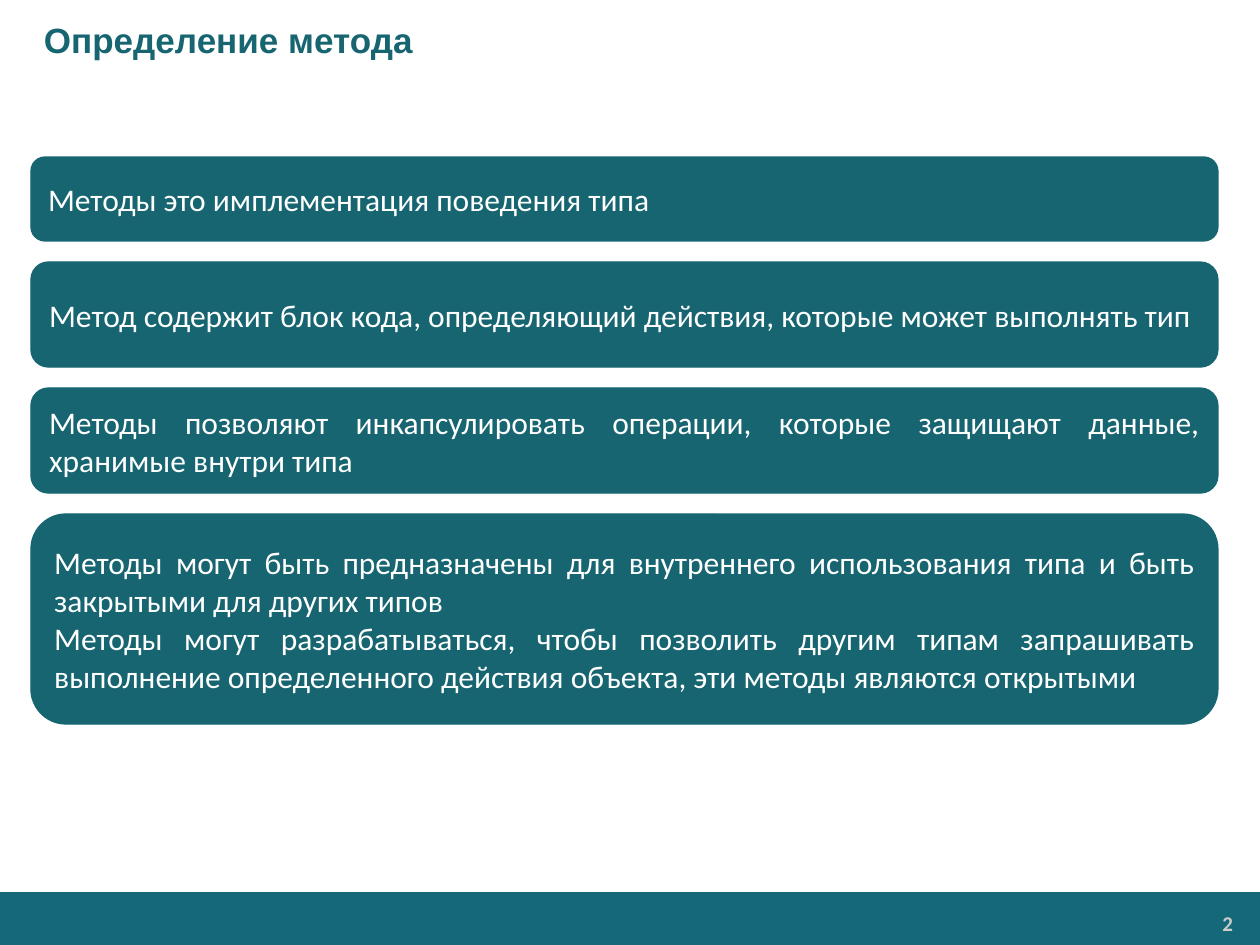
from pptx import Presentation
from pptx.dml.color import RGBColor
from pptx.enum.shapes import MSO_SHAPE
from pptx.enum.text import MSO_ANCHOR, PP_ALIGN
from pptx.util import Pt

EMU_PER_PX = 914400 / 126
RECT, ROUNDED = MSO_SHAPE.RECTANGLE, MSO_SHAPE.ROUNDED_RECTANGLE
TOP, MIDDLE = MSO_ANCHOR.TOP, MSO_ANCHOR.MIDDLE
LEFT, RIGHT, JUSTIFY = PP_ALIGN.LEFT, PP_ALIGN.RIGHT, PP_ALIGN.JUSTIFY

COLORS = {
    "teal": "176571",
    "footer": "146878",
    "white": "FFFFFF",
    "number": "CCCCCC",
}

CARD_LEFT, CARD_TOP, CARD_WIDTH, CARD_GAP = 31, 157, 1187, 21
CARDS = [
    (84, ["Методы это имплементация поведения типа"]),
    (105, ["Метод содержит блок кода, определяющий действия, которые может выполнять тип"]),
    (105, ["Методы позволяют инкапсулировать операции, которые защищают данные, "
           "хранимые внутри типа"]),
    (210, ["Методы могут быть предназначены для внутреннего использования типа "
           "и быть закрытыми для других типов",
           "Методы могут разрабатываться, чтобы позволить другим типам запрашивать "
           "выполнение определенного действия объекта, эти методы являются открытыми"]),
]


def px(n):
    return round(n * EMU_PER_PX)


def rgb(name):
    return RGBColor.from_string(COLORS[name])


class SlideBuilder:
    def __init__(self, slide):
        self.shapes = slide.shapes

    def set_text(self, sp, lines, size, color, font="Calibri", bold=False,
                 align=LEFT, anchor=MIDDLE, insets=(13, 6, 13, 6)):
        """Fill a shape with one paragraph per line; insets run left, top, right, bottom."""
        tf = sp.text_frame
        tf.word_wrap = True
        tf.vertical_anchor = anchor
        tf.margin_left, tf.margin_top, tf.margin_right, tf.margin_bottom = map(px, insets)
        tf.text = "\n".join(lines)
        for p in tf.paragraphs:
            p.alignment = align
            p.font.name = font
            p.font.size = Pt(size)
            p.font.bold = bold
            p.font.color.rgb = rgb(color)

    def box(self, kind, box, fill, line=None):
        sp = self.shapes.add_shape(kind, *map(px, box))
        sp.shadow.inherit = False
        sp.fill.solid()
        sp.fill.fore_color.rgb = rgb(fill)
        if line:
            sp.line.color.rgb = rgb(line)
            sp.line.width = Pt(0.75)
        else:
            sp.line.fill.background()
        return sp

    def card(self, box, lines):
        sp = self.box(ROUNDED, box, "teal", line="teal")
        self.set_text(sp, lines, 18, "white", align=JUSTIFY)

    def label(self, box, text, size, color, **style):
        sp = self.shapes.add_textbox(*map(px, box))
        self.set_text(sp, [text], size, color, bold=True, **style)


def main():
    prs = Presentation()
    prs.slide_width, prs.slide_height = px(1260), px(945)
    s = SlideBuilder(prs.slides.add_slide(prs.slide_layouts[6]))

    s.box(RECT, (0, 892, 1261, 54), "footer")
    s.label((1037, 906, 205, 35), "2", 12, "number",
            align=RIGHT, anchor=TOP, insets=(9, 5, 9, 5))

    top = CARD_TOP
    for height, lines in CARDS:
        s.card((CARD_LEFT, top, CARD_WIDTH, height), lines)
        top += height + CARD_GAP

    s.label((0, 0, 1260, 79), "Определение метода", 20, "teal",
            font="Arial", insets=(44, 6, 13, 6))
    prs.save("out.pptx")


if __name__ == "__main__":
    main()
